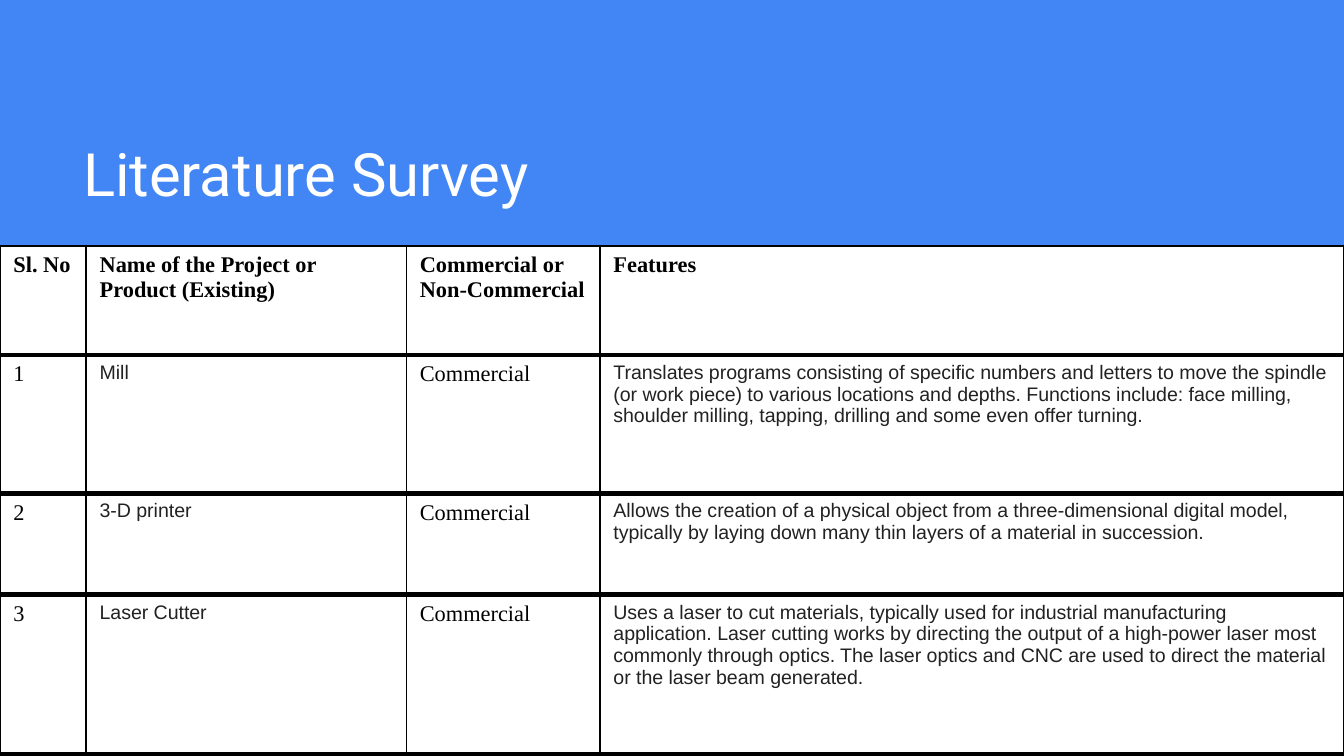
from dataclasses import dataclass

from lxml.etree import SubElement
from pptx import Presentation
from pptx.dml.color import RGBColor
from pptx.enum.text import MSO_ANCHOR
from pptx.oxml.ns import qn
from pptx.util import Cm, Pt


@dataclass(frozen=True)
class TextStyle:
    font: str
    size: float
    color: str
    bold: bool = False


@dataclass(frozen=True)
class Theme:
    background: str = "4285F4"
    cell: str = "FFFFFF"
    border: str = "000000"
    thin: float = 1
    thick: float = 3
    title: TextStyle = TextStyle("Roboto", 32, "FFFFFF")
    header: TextStyle = TextStyle("Times New Roman", 12, "000000", True)
    label: TextStyle = TextStyle("Times New Roman", 12, "000000")
    detail: TextStyle = TextStyle("Arial", 10.5, "222222")


@dataclass(frozen=True)
class Survey:
    name: str
    licence: str
    features: str


THEME = Theme()
COLUMN_WIDTHS = (1.63, 6.05, 3.66, 14.06)
ROW_HEIGHTS = (2.06, 2.62, 1.91, 3.02)
COLUMN_STYLES = (THEME.label, THEME.detail, THEME.label, THEME.detail)
HEADERS = (
    "Sl. No",
    "Name of the Project or Product (Existing)",
    "Commercial or Non-Commercial",
    "Features",
)
SURVEYS = (
    Survey(
        "Mill", "Commercial",
        "Translates programs consisting of specific numbers and letters to move "
        "the spindle (or work piece) to various locations and depths. Functions "
        "include: face milling, shoulder milling, tapping, drilling and some even "
        "offer turning.",
    ),
    Survey(
        "3-D printer", "Commercial",
        "Allows the creation of a physical object from a three-dimensional digital "
        "model, typically by laying down many thin layers of a material in "
        "succession.",
    ),
    Survey(
        "Laser Cutter", "Commercial",
        "Uses a laser to cut materials, typically used for industrial manufacturing "
        "application. Laser cutting works by directing the output of a high-power "
        "laser most commonly through optics. The laser optics and CNC are used to "
        "direct the material or the laser beam generated.",
    ),
)


def write(frame, text: str, style: TextStyle, space_after: float = 0) -> None:
    para = frame.paragraphs[0]
    para.space_after = Pt(space_after)
    span = para.add_run()
    span.text = text
    formats = {"name": style.font, "size": Pt(style.size), "bold": style.bold}
    for key, value in formats.items():
        setattr(span.font, key, value)
    span.font.color.rgb = RGBColor.from_string(style.color)


def add_title(slide, text: str) -> None:
    box = slide.shapes.add_textbox(Cm(1.32), Cm(2.06), Cm(22.83), Cm(2.13))
    inset = Cm(0.25)
    formats = {
        "word_wrap": True, "vertical_anchor": MSO_ANCHOR.BOTTOM,
        "margin_left": inset, "margin_right": inset,
        "margin_top": inset, "margin_bottom": inset,
    }
    for key, value in formats.items():
        setattr(box.text_frame, key, value)
    write(box.text_frame, text, THEME.title)


def set_borders(cell, widths: dict[str, float]) -> None:
    properties = cell._tc.get_or_add_tcPr()
    for side, width in widths.items():
        line = SubElement(properties, qn(f"a:ln{side}"), w=str(Pt(width)))
        fill = SubElement(line, qn("a:solidFill"))
        SubElement(fill, qn("a:srgbClr"), val=THEME.border)


def fill_cell(cell, text: str, style: TextStyle, top_border: float) -> None:
    # Borders come before the fill in the cell properties
    set_borders(cell, {"L": THEME.thin, "R": THEME.thin,
                       "T": top_border, "B": THEME.thick})
    cell.fill.solid()
    cell.fill.fore_color.rgb = RGBColor.from_string(THEME.cell)
    write(cell.text_frame, text, style, space_after=10)


def add_survey_table(slide) -> None:
    table = slide.shapes.add_table(
        len(ROW_HEIGHTS), len(COLUMN_WIDTHS), Cm(0), Cm(4.65),
        Cm(sum(COLUMN_WIDTHS)), Cm(sum(ROW_HEIGHTS)),
    ).table
    table.horz_banding = False
    for column, width in zip(table.columns, COLUMN_WIDTHS):
        column.width = Cm(width)
    for row, height in zip(table.rows, ROW_HEIGHTS):
        row.height = Cm(height)

    # Header row
    for column, text in enumerate(HEADERS):
        fill_cell(table.cell(0, column), text, THEME.header, THEME.thin)

    # Numbered survey rows
    for number, survey in enumerate(SURVEYS, start=1):
        texts = (str(number), survey.name, survey.licence, survey.features)
        for column, (text, style) in enumerate(zip(texts, COLUMN_STYLES)):
            fill_cell(table.cell(number, column), text, style, THEME.thick)


def main() -> None:
    deck = Presentation()
    deck.slide_width, deck.slide_height = Cm(25.4), Cm(14.29)
    slide = deck.slides.add_slide(deck.slide_layouts[6])

    # Blue page
    slide.background.fill.solid()
    slide.background.fill.fore_color.rgb = RGBColor.from_string(THEME.background)

    add_title(slide, "Literature Survey")
    add_survey_table(slide)
    deck.save("out.pptx")


if __name__ == "__main__":
    main()
